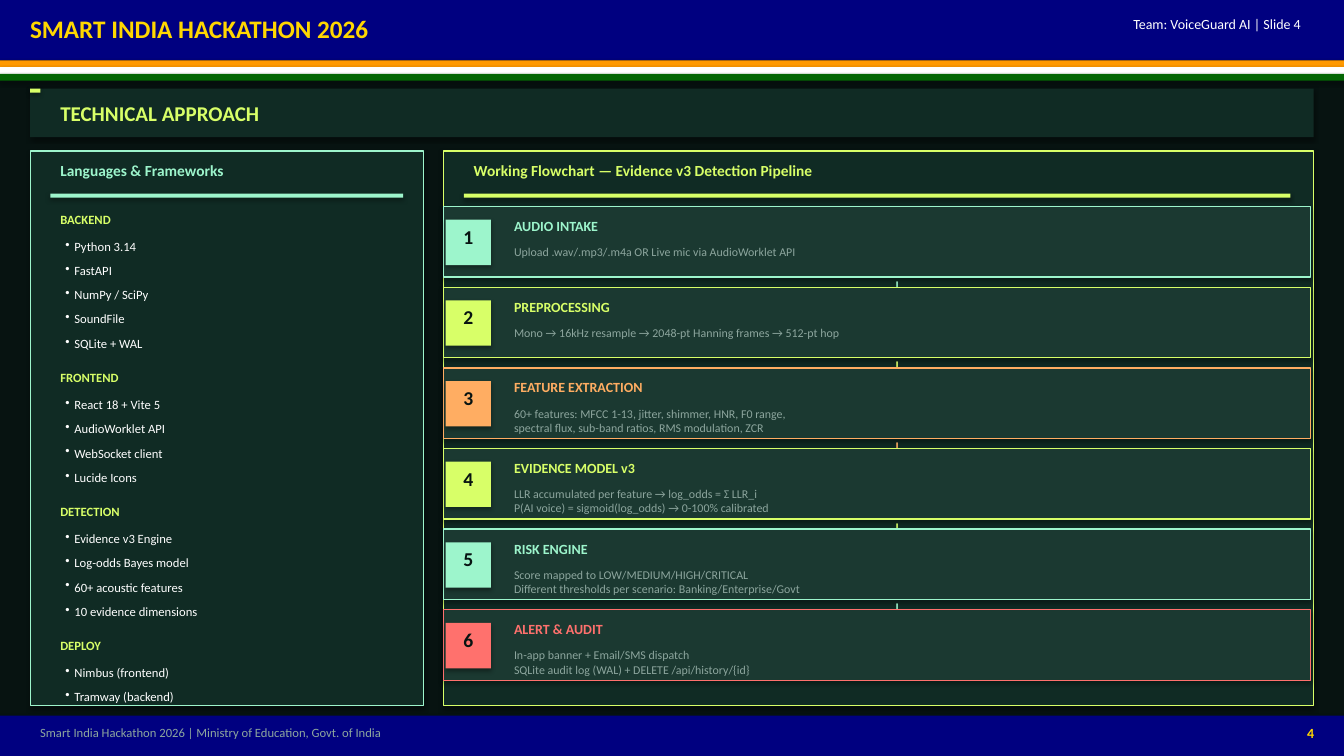
"""Build the technical approach slide: technology list and detection pipeline."""
from dataclasses import dataclass

from lxml import etree
from pptx import Presentation
from pptx.dml.color import RGBColor
from pptx.enum.shapes import MSO_SHAPE
from pptx.enum.text import MSO_AUTO_SIZE, PP_ALIGN
from pptx.oxml import parse_xml
from pptx.oxml.ns import nsdecls, qn
from pptx.util import Inches, Pt

RECT = MSO_SHAPE.RECTANGLE
GROW = MSO_AUTO_SIZE.SHAPE_TO_FIT_TEXT
LEFT, CENTER, RIGHT = PP_ALIGN.LEFT, PP_ALIGN.CENTER, PP_ALIGN.RIGHT


@dataclass(frozen=True)
class Theme:
    font: str = "Calibri"
    page: str = "071311"
    navy: str = "000080"
    gold: str = "FFD700"
    saffron: str = "FF9900"
    white: str = "FFFFFF"
    green: str = "046604"
    panel: str = "102B24"
    card: str = "1B3931"
    lime: str = "D8FF68"
    mint: str = "9DF5CC"
    orange: str = "FFAD62"
    red: str = "FF716D"
    muted: str = "8DA69E"
    event_size: float = 18
    title_size: float = 15
    number_size: float = 14
    panel_size: float = 11
    step_size: float = 10
    item_size: float = 9
    detail_size: float = 8.5


theme = Theme()
SHADOW = (
    f'<a:outerShdw {nsdecls("a")} blurRad="40000" dist="23000" dir="5400000" rotWithShape="0">'
    '<a:srgbClr val="000000"><a:alpha val="35000"/></a:srgbClr></a:outerShdw>'
)

deck = Presentation()
deck.slide_width, deck.slide_height = Inches(13.33), Inches(7.5)
slide = deck.slides.add_slide(deck.slide_layouts[6])
slide.background.fill.solid()
slide.background.fill.fore_color.rgb = RGBColor.from_string(theme.page)


def add_block(left, top, width, height, fill, outline=None):
    """Draw a filled rectangle with a soft shadow and an optional outline."""
    block = slide.shapes.add_shape(RECT, Inches(left), Inches(top), Inches(width), Inches(height))
    block.fill.solid()
    block.fill.fore_color.rgb = RGBColor.from_string(fill)
    if outline:
        block.line.color.rgb = RGBColor.from_string(outline)
        block.line.width = Pt(1)
    else:
        block.line.fill.background()
    block.shadow.inherit = False
    block._element.spPr.find(qn("a:effectLst")).append(parse_xml(SHADOW))


def add_label(left, top, width, height, text, size, color, bold=False, align=LEFT, bullet=False):
    """Write one paragraph in a wrapping text box."""
    box = slide.shapes.add_textbox(Inches(left), Inches(top), Inches(width), Inches(height))
    box.text_frame.word_wrap = True
    box.text_frame.auto_size = GROW
    paragraph = box.text_frame.paragraphs[0]
    paragraph.text = text
    paragraph.alignment = align
    if bullet:
        properties = paragraph._p.get_or_add_pPr()
        properties.set("marL", str(Inches(0.14)))
        properties.set("indent", str(Inches(-0.09)))
        etree.SubElement(properties, qn("a:buChar")).set("char", "•")
    font = paragraph.font
    font.name, font.size, font.bold = theme.font, Pt(size), bold
    font.color.rgb = RGBColor.from_string(color)


add_block(0, 0, 13.33, 0.6, theme.navy)
add_label(0.2, 0.08, 9, 0.42, "SMART INDIA HACKATHON 2026", theme.event_size, theme.gold, bold=True)
add_label(8, 0.1, 5, 0.35, "Team: VoiceGuard AI | Slide 4", theme.step_size, theme.white, align=RIGHT)
stripe_height = 0.2 / 3
for index, stripe in enumerate((theme.saffron, theme.white, theme.green)):
    add_block(0, 0.6 + index * stripe_height, 13.33, stripe_height, stripe)

add_block(0.3, 0.88, 12.73, 0.48, theme.panel)
add_block(0.3, 0.88, 0.1, 0.04, theme.lime)
add_label(0.5, 0.95, 12, 0.36, "TECHNICAL APPROACH", theme.title_size, theme.lime, bold=True)

panels = (
    (0.3, 3.9, 3.5, "Languages & Frameworks", theme.mint),
    (4.4, 8.63, 8.2, "Working Flowchart — Evidence v3 Detection Pipeline", theme.lime),
)
for left, width, inner_width, heading, accent in panels:
    add_block(left, 1.5, width, 5.5, theme.panel, accent)
    add_label(left + 0.2, 1.55, inner_width, 0.34, heading, theme.panel_size, accent, bold=True)
    add_block(left + 0.2, 1.92, inner_width, 0.04, accent)

stack = {
    "BACKEND": ("Python 3.14", "FastAPI", "NumPy / SciPy", "SoundFile", "SQLite + WAL"),
    "FRONTEND": ("React 18 + Vite 5", "AudioWorklet API", "WebSocket client", "Lucide Icons"),
    "DETECTION": ("Evidence v3 Engine", "Log-odds Bayes model", "60+ acoustic features",
                  "10 evidence dimensions"),
    "DEPLOY": ("Nimbus (frontend)", "Tramway (backend)"),
}
row_top = 2.05
for category, items in stack.items():
    add_label(0.5, row_top, 3.5, 0.26, category, theme.item_size, theme.lime, bold=True)
    row_top += 0.27
    for item in items:
        add_label(0.5, row_top, 3.5, 0.24, item, theme.item_size, theme.white, bullet=True)
        row_top += 0.24
    row_top += 0.1

steps = (
    ("AUDIO INTAKE", theme.mint, "Upload .wav/.mp3/.m4a OR Live mic via AudioWorklet API"),
    ("PREPROCESSING", theme.lime, "Mono → 16kHz resample → 2048-pt Hanning frames → 512-pt hop"),
    ("FEATURE EXTRACTION", theme.orange,
     "60+ features: MFCC 1-13, jitter, shimmer, HNR, F0 range,\n"
     "spectral flux, sub-band ratios, RMS modulation, ZCR"),
    ("EVIDENCE MODEL v3", theme.lime,
     "LLR accumulated per feature → log_odds = Σ LLR_i\n"
     "P(AI voice) = sigmoid(log_odds) → 0-100% calibrated"),
    ("RISK ENGINE", theme.mint,
     "Score mapped to LOW/MEDIUM/HIGH/CRITICAL\n"
     "Different thresholds per scenario: Banking/Enterprise/Govt"),
    ("ALERT & AUDIT", theme.red,
     "In-app banner + Email/SMS dispatch\n"
     "SQLite audit log (WAL) + DELETE /api/history/{id}"),
)
for number, (step, accent, detail) in enumerate(steps, start=1):
    top = 2.05 + (number - 1) * 0.8
    add_block(4.4, top, 8.6, 0.7, theme.card, accent)
    add_block(4.42, top + 0.13, 0.45, 0.45, accent)
    add_label(4.42, top + 0.13, 0.45, 0.45, str(number), theme.number_size, theme.page,
              bold=True, align=CENTER)
    add_label(5, top + 0.06, 3.5, 0.28, step, theme.step_size, accent, bold=True)
    add_label(5, top + 0.33, 7.8, 0.35, detail, theme.detail_size, theme.muted)
    if number < len(steps):
        add_label(8.7, top + 0.65, 0.4, 0.2, "↓", theme.step_size, accent, bold=True, align=CENTER)

add_block(0, 7.1, 13.33, 0.4, theme.navy)
add_label(0.3, 7.14, 10, 0.28, "Smart India Hackathon 2026 | Ministry of Education, Govt. of India",
          theme.item_size, theme.muted)
add_label(12.8, 7.14, 0.4, 0.28, "4", theme.step_size, theme.gold, bold=True, align=CENTER)

deck.save("out.pptx")
